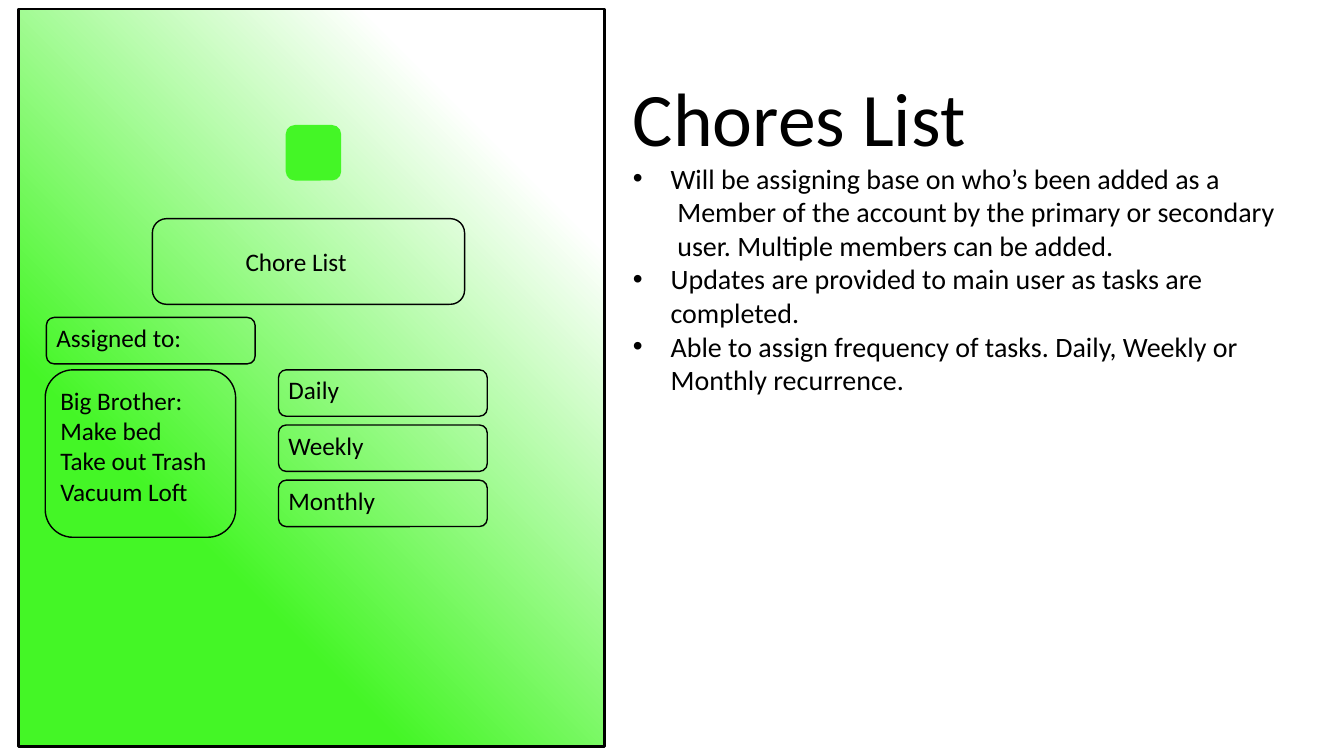
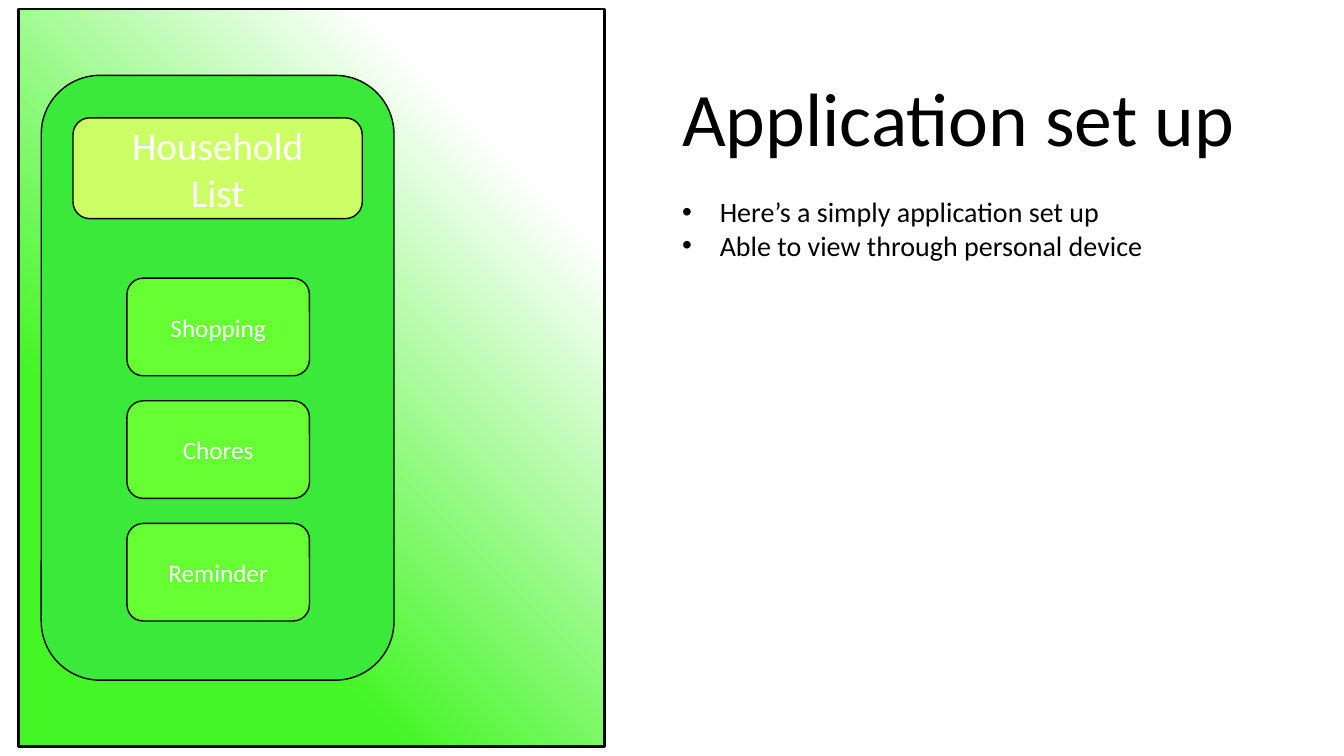
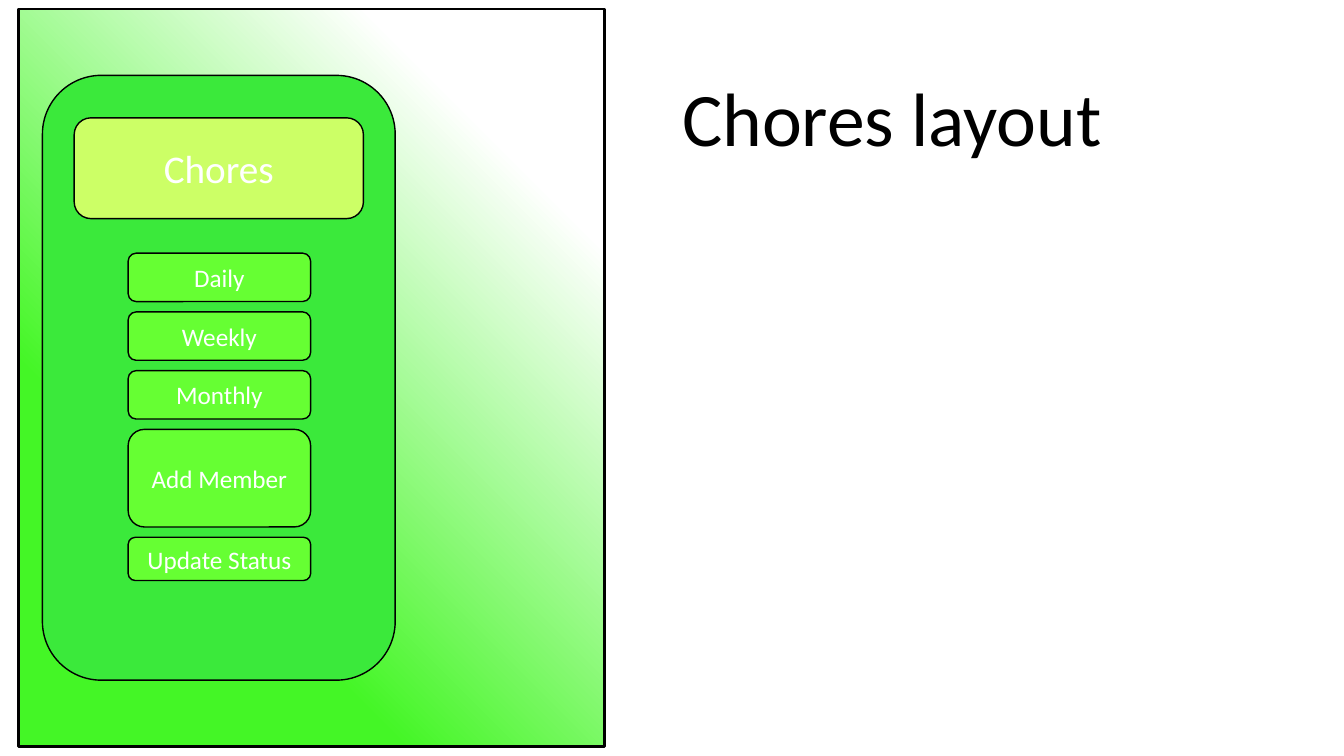
import pptx
import pptx.dml.color
import pptx.enum.shapes
import pptx.enum.text
import pptx.oxml
import pptx.oxml.ns
import pptx.util

Cm = pptx.util.Cm
Pt = pptx.util.Pt
ALIGN = pptx.enum.text.PP_ALIGN
ANCHOR = pptx.enum.text.MSO_ANCHOR
SHAPE = pptx.enum.shapes.MSO_SHAPE
qn = pptx.oxml.ns.qn
DRAWING = pptx.oxml.ns.nsuri("a")

BLACK = "000000"
WHITE = "FFFFFF"
GLOW = "44F626"
PHONE = "3BE93B"
BUTTON = "66FF33"
HEADER = "CCFF66"

GLOW_STOPS = [(17, WHITE), (18, WHITE), (71, GLOW)]
INFO_LEFT = 16.94


def rgb(code):
    return pptx.dml.color.RGBColor.from_string(code)


def glow_fill():
    stops = "".join(
        f'<a:gs pos="{percent * 1000}"><a:srgbClr val="{code}"/></a:gs>'
        for percent, code in GLOW_STOPS
    )
    return pptx.oxml.parse_xml(
        f'<a:gradFill xmlns:a="{DRAWING}" rotWithShape="1">'
        f"<a:gsLst>{stops}</a:gsLst>"
        '<a:path path="circle"><a:fillToRect l="100000" b="100000"/></a:path>'
        '<a:tileRect t="-100000" r="-100000"/></a:gradFill>'
    )


class Deck:
    font = "Calibri"
    title_size = 54
    header_size = 28
    bullet_size = 20
    label_size = 18

    def __init__(self):
        self.deck = pptx.Presentation()
        self.deck.slide_width = Cm(33.87)
        self.deck.slide_height = Cm(19.05)
        self.slide = None

    def new_slide(self):
        self.slide = self.deck.slides.add_slide(self.deck.slide_layouts[6])
        panel = self.box(0.46, 0.23, 14.78, 18.59, outline=2, preset=SHAPE.RECTANGLE)
        properties = panel.element.spPr
        properties.replace(properties.find(qn("a:noFill")), glow_fill())

    def box(self, left, top, width, height, fill=None, outline=1,
            preset=SHAPE.ROUNDED_RECTANGLE):
        box = self.slide.shapes.add_shape(preset, Cm(left), Cm(top), Cm(width), Cm(height))
        box.shadow.inherit = False
        if fill:
            box.fill.solid()
            box.fill.fore_color.rgb = rgb(fill)
        else:
            box.fill.background()
        box.line.color.rgb = rgb(BLACK)
        box.line.width = Pt(outline)
        return box

    def add_lines(self, frame, lines, size, color=BLACK, align=ALIGN.LEFT):
        for number, line in enumerate(lines):
            paragraph = frame.paragraphs[0] if number == 0 else frame.add_paragraph()
            self.add_text(paragraph, line, size, color, align)

    def add_text(self, paragraph, text, size, color=BLACK, align=ALIGN.LEFT):
        paragraph.alignment = align
        run = paragraph.add_run()
        run.text = text
        run.font.name = self.font
        run.font.size = Pt(size)
        run.font.color.rgb = rgb(color)

    def text_box(self, left, top, width, height):
        frame = self.slide.shapes.add_textbox(
            Cm(left), Cm(top), Cm(width), Cm(height)).text_frame
        frame.word_wrap = True
        return frame

    def caption(self, left, top, width, height, *lines):
        self.add_lines(self.text_box(left, top, width, height), lines, self.label_size)

    def field(self, left, top, label):
        self.caption(left, top, 3.91, 1.02, label)
        self.box(left, top, 5.26, 1.17)

    def button(self, left, top, width, height, fill, size, *lines):
        frame = self.box(left, top, width, height, fill).text_frame
        frame.word_wrap = True
        frame.vertical_anchor = ANCHOR.MIDDLE
        self.add_lines(frame, lines, size, WHITE, ALIGN.CENTER)

    def phone(self, left, heading, first_top, gap, buttons):
        self.box(left, 1.9, 8.89, 15.24, PHONE)
        self.button(left + 0.8, 2.97, 7.29, 2.54, HEADER, self.header_size, *heading)
        top = first_top
        for label, height in buttons:
            self.button(left + 2.16, top, 4.6, height, BUTTON, self.label_size, label)
            top += height + gap

    def info(self, left, width, height, title, points=(), gap=0):
        frame = self.text_box(left, 1.65, width, height)
        self.add_lines(frame, [title], self.title_size)
        for number, (text, bulleted) in enumerate(points):
            paragraph = frame.add_paragraph()
            self.add_text(paragraph, text, self.bullet_size)
            if number == 0:
                paragraph.space_before = Pt(gap)
            self.indent(paragraph, bulleted)

    def indent(self, paragraph, bulleted):
        properties = paragraph._p.get_or_add_pPr()
        properties.set("marL", str(Cm(0.95 if bulleted else 1.12)))
        properties.set("indent", str(Cm(-0.95 if bulleted else 0)))
        if bulleted:
            for tag, name, value in (("buFont", "typeface", "Arial"), ("buChar", "char", "•")):
                properties.append(pptx.oxml.parse_xml(
                    f'<a:{tag} xmlns:a="{DRAWING}" {name}="{value}"/>'))


def chores_list(deck):
    deck.new_slide()
    emblem = deck.box(7.2, 3.15, 1.4, 1.4, GLOW)
    emblem.line.fill.background()
    deck.caption(5.94, 6.07, 3.73, 1.02, "Chore List")
    deck.box(3.84, 5.51, 7.87, 2.16)
    deck.field(1.17, 8, "Assigned to:")
    deck.caption(1.27, 9.58, 4.7, 3.33,
                 "Big Brother:", "Make bed", "Take out Trash", "Vacuum Loft")
    deck.box(1.14, 9.32, 4.8, 4.22)
    for row, frequency in enumerate(["Daily", "Weekly", "Monthly"]):
        deck.field(7.02, 9.32 + 1.39 * row, frequency)
    deck.info(15.7, 17.93, 9.4, "Chores List", [
        ("Will be assigning base on who’s been added as a", True),
        ("Member of the account by the primary or secondary", False),
        ("user. Multiple members can be added.", False),
        ("Updates are provided to main user as tasks are completed.", True),
        ("Able to assign frequency of tasks. Daily, Weekly or Monthly recurrence.", True),
    ])


def application_set_up(deck):
    deck.new_slide()
    deck.info(INFO_LEFT, 14.9, 6, "Application set up", [
        ("Here’s a simply application set up", True),
        ("Able to view through personal device", True),
    ], gap=24)
    deck.phone(1.04, ["Household", "List"], 7.01, 0.63,
               [(label, 2.46) for label in ("Shopping", "Chores", "Reminder")])


def chores_layout(deck):
    deck.new_slide()
    deck.phone(1.07, ["Chores"], 6.38, 0.26, [
        ("Daily", 1.22),
        ("Weekly", 1.22),
        ("Monthly", 1.22),
        ("Add Member", 2.46),
        ("Update Status", 1.09),
    ])
    deck.info(INFO_LEFT, 11.4, 2.57, "Chores layout")


def main():
    chores_app = Deck()
    chores_list(chores_app)
    application_set_up(chores_app)
    chores_layout(chores_app)
    chores_app.deck.save("out.pptx")


if __name__ == "__main__":
    main()
